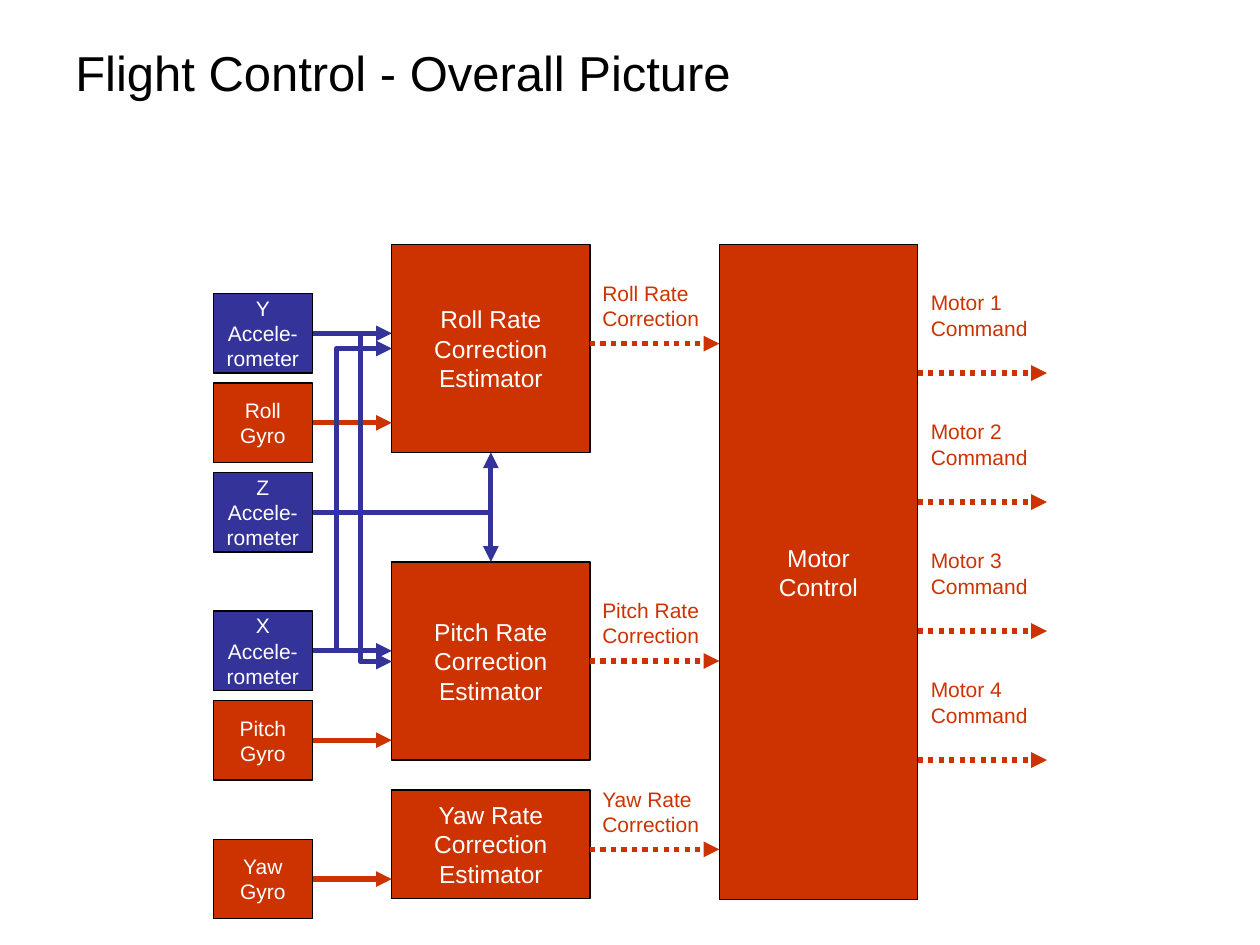
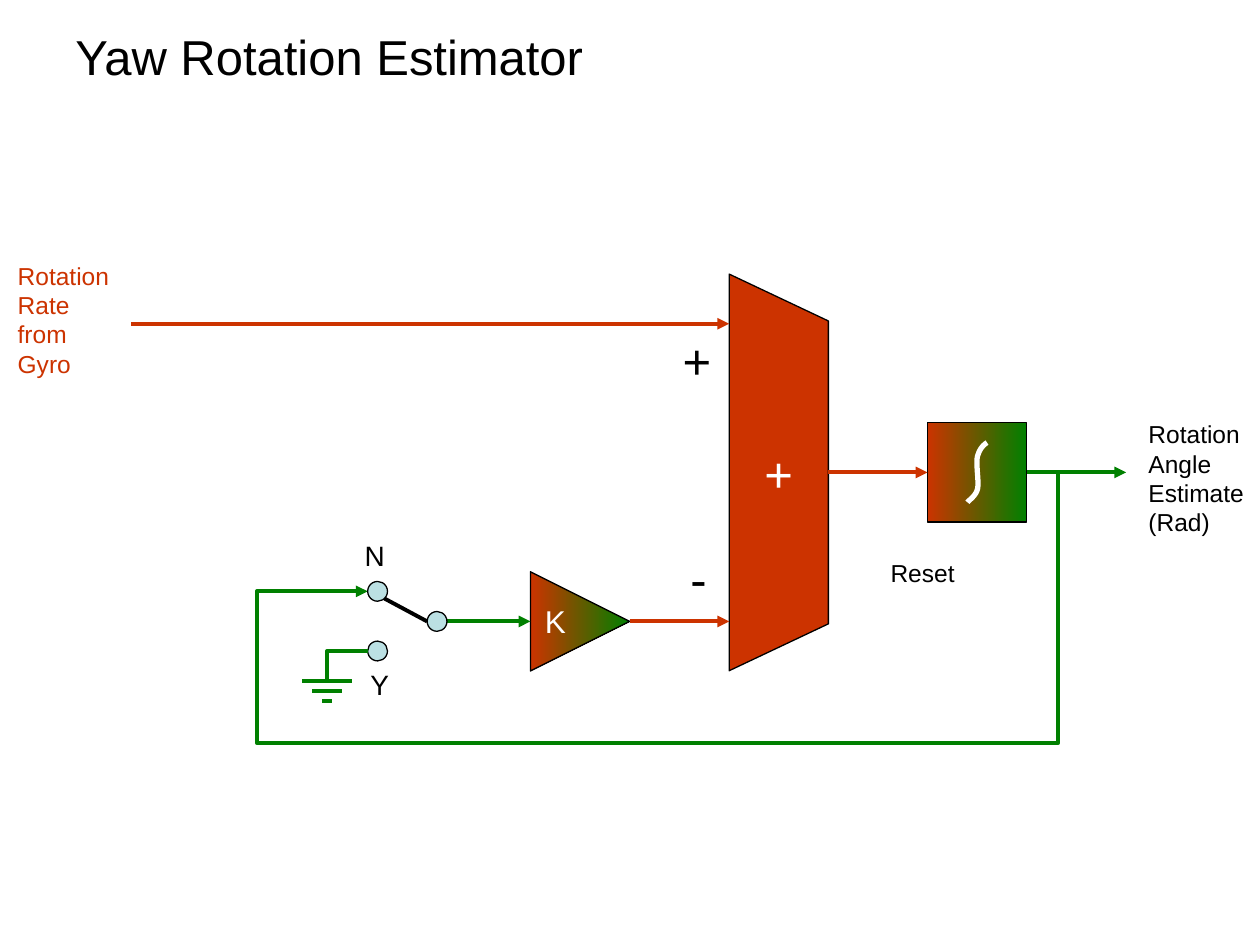
from typing import Any, NamedTuple, Optional

import pptx
import pptx.dml.color
import pptx.enum.dml
import pptx.enum.shapes
import pptx.enum.text
import pptx.oxml
import pptx.oxml.ns
import pptx.util
from lxml import etree

Pt = pptx.util.Pt
RGBColor = pptx.dml.color.RGBColor
PRESET = pptx.enum.shapes.MSO_SHAPE
ALIGN = pptx.enum.text.PP_ALIGN
ANCHOR = pptx.enum.text.MSO_ANCHOR
qn = pptx.oxml.ns.qn
Point = tuple[float, float]

FONT = "Arial"
RED = RGBColor(0xCC, 0x33, 0x00)
BLUE = RGBColor(0x33, 0x33, 0x99)
GREEN = RGBColor(0x00, 0x80, 0x00)
PALE = RGBColor(0xBB, 0xE0, 0xE3)
BLACK = RGBColor(0x00, 0x00, 0x00)
WHITE = RGBColor(0xFF, 0xFF, 0xFF)
OUTLINE = 0.75
LEFT, RIGHT = 1, 3


class Label(NamedTuple):
    text: str
    x: float
    y: float
    width: float
    height: float
    size: float
    color: RGBColor = BLACK


class Block(NamedTuple):
    text: str
    x: float
    y: float
    width: float
    height: float
    size: float
    color: RGBColor

    @property
    def middle(self) -> float:
        return self.y + self.height / 2


class Stroke(NamedTuple):
    color: RGBColor
    width: float
    dotted: bool = False
    arrow: bool = True


def write(frame: Any, text: str, size: float, color: RGBColor, align: Any) -> None:
    """Newlines in the text start paragraphs; vertical tabs break lines."""
    for index, paragraph_text in enumerate(text.split("\n")):
        para = frame.paragraphs[0] if index == 0 else frame.add_paragraph()
        para.alignment = align
        for number, line_text in enumerate(paragraph_text.split("\v")):
            if number:
                para.add_line_break()
            span = para.add_run()
            span.text = line_text
            span.font.name = FONT
            span.font.size = Pt(size)
            span.font.color.rgb = color


def add_label(page: Any, label: Label) -> None:
    box = page.shapes.add_textbox(Pt(label.x), Pt(label.y), Pt(label.width), Pt(label.height))
    box.text_frame.word_wrap = False
    box.text_frame.auto_size = pptx.enum.text.MSO_AUTO_SIZE.SHAPE_TO_FIT_TEXT
    write(box.text_frame, label.text, label.size, label.color, ALIGN.LEFT)


def add_title(page: Any, text: str, y: float, height: float) -> None:
    box = page.shapes.add_textbox(Pt(36), Pt(y), Pt(648), Pt(height))
    box.text_frame.word_wrap = True
    box.text_frame.vertical_anchor = ANCHOR.MIDDLE
    write(box.text_frame, text, 28, BLACK, ALIGN.LEFT)


def dress(shape: Any, color: Optional[RGBColor]) -> Any:
    """Black outline, and a solid fill or, without a colour, the red to green blend."""
    shape.shadow.inherit = False
    shape.line.color.rgb = BLACK
    shape.line.width = Pt(OUTLINE)
    if color is None:
        shape.fill.gradient()
        shape.fill.gradient_angle = shape.rotation
        for stop, stop_color in zip(shape.fill.gradient_stops, (RED, GREEN)):
            stop.color.rgb = stop_color
    else:
        shape.fill.solid()
        shape.fill.fore_color.rgb = color
    return shape


def add_preset(page: Any, preset: Any, x: float, y: float, width: float, height: float,
               color: Optional[RGBColor], rotation: float = 0) -> Any:
    shape = page.shapes.add_shape(preset, Pt(x), Pt(y), Pt(width), Pt(height))
    shape.rotation = rotation
    return dress(shape, color)


def caption(shape: Any, text: str, size: float) -> None:
    shape.text_frame.word_wrap = False
    shape.text_frame.vertical_anchor = ANCHOR.MIDDLE
    write(shape.text_frame, text, size, WHITE, ALIGN.CENTER)


def add_block(page: Any, block: Block) -> Any:
    shape = add_preset(page, PRESET.RECTANGLE, *block[1:5], block.color)
    caption(shape, block.text, block.size)
    return shape


def add_polyline(page: Any, points: list[Point], closed: bool) -> Any:
    corners = [(Pt(x), Pt(y)) for x, y in points]
    builder = page.shapes.build_freeform(*corners[0])
    builder.add_line_segments(corners[1:], close=closed)
    return builder.convert_to_shape()


def add_connector(page: Any, kind: Any, start: Point, end: Point, stroke: Stroke) -> Any:
    connector = page.shapes.add_connector(kind, *(Pt(value) for value in (*start, *end)))
    connector.line.color.rgb = stroke.color
    connector.line.width = Pt(stroke.width)
    if stroke.dotted:
        connector.line.dash_style = pptx.enum.dml.MSO_LINE.ROUND_DOT
    if stroke.arrow:
        etree.SubElement(connector.line._get_or_add_ln(), qn("a:tailEnd"), type="triangle")
    etree.SubElement(connector._element.spPr, qn("a:effectLst"))
    return connector


def add_straight(page: Any, start: Point, end: Point, stroke: Stroke,
                 source: Any = None, target: Any = None) -> None:
    """A source is joined at its right side, a target at its left side."""
    kind = pptx.enum.shapes.MSO_CONNECTOR.STRAIGHT
    connector = add_connector(page, kind, start, end, stroke)
    if source is not None:
        connector.begin_connect(source, RIGHT)
    if target is not None:
        connector.end_connect(target, LEFT)


def add_elbow(page: Any, start: Point, end: Point, stroke: Stroke, *bends: float) -> None:
    """Bends are the x, y, x ... at which the line turns; with none it turns once."""
    kind = pptx.enum.shapes.MSO_CONNECTOR.ELBOW
    connector = add_connector(page, kind, start, end, stroke)
    geometry = connector._element.spPr.find(qn("a:prstGeom"))
    geometry.set("prst", f"bentConnector{len(bends) + 2}")
    guides = geometry.find(qn("a:avLst"))
    for index, bend in enumerate(bends):
        axis = index % 2
        share = (bend - start[axis]) / (end[axis] - start[axis])
        etree.SubElement(guides, qn("a:gd"), name=f"adj{index + 1}",
                         fmla=f"val {round(share * 100000)}")


def bezier(a: Point, b: Point, c: Point, d: Point, steps: int = 10) -> list[Point]:
    shares = [step / steps for step in range(steps + 1)]
    return [tuple((1 - t) ** 3 * p + 3 * (1 - t) ** 2 * t * q + 3 * (1 - t) * t ** 2 * r + t ** 3 * s
                  for p, q, r, s in zip(a, b, c, d)) for t in shares]


def build_overall_picture(page: Any) -> None:
    sensor_x, sensor_width, sensor_height = 121.9, 56.7, 45.4
    estimator_x, block_width, top = 223.9, 113.2, 139.7
    motor_x, arrow_length = 411.1, 74
    sensor_right = sensor_x + sensor_width
    estimator_right = estimator_x + block_width
    motor_right = motor_x + block_width
    red, blue = Stroke(RED, 3), Stroke(BLUE, 3)
    dotted = Stroke(RED, 3, dotted=True)

    add_title(page, "Flight Control - Overall Picture", 21.6, 38.9)

    estimators = {
        name: Block(f"{name} Rate\nCorrection\nEstimator", estimator_x, y, block_width, height, 14, RED)
        for name, y, height in (("Roll", top, 118.8), ("Pitch", 321.1, 113.2), ("Yaw", 451.4, 62))
    }
    estimator_shapes = {name: add_block(page, block) for name, block in estimators.items()}
    add_block(page, Block("Motor\nControl", motor_x, top, block_width, 374.4, 14, RED))

    sensors = {}
    for name, y in (("Y", 167.8), ("Roll", 218.9), ("Z", 270),
                    ("X", 349.2), ("Pitch", 400.3), ("Yaw", 479.6)):
        is_gyro = name in estimators
        text = f"{name}\vGyro" if is_gyro else f"{name}\vAccele-\vrometer"
        sensor = Block(text, sensor_x, y, sensor_width, sensor_height, 12, RED if is_gyro else BLUE)
        shape = add_block(page, sensor)
        sensors[name] = sensor
        if name != "Z":
            add_straight(page, (sensor_right, sensor.middle), (estimator_x, sensor.middle),
                         red if is_gyro else blue, source=shape)

    roll, pitch = estimators["Roll"], estimators["Pitch"]
    center_x = estimator_x + block_width / 2
    for edge in (roll.y + roll.height, pitch.y):
        add_elbow(page, (sensor_right, sensors["Z"].middle), (center_x, edge), blue)
    add_elbow(page, (sensor_right, sensors["Y"].middle), (estimator_x, 378), blue, 206)
    add_elbow(page, (sensor_right, sensors["X"].middle), (estimator_x, 199.2), blue, 192.2)

    for name, y in (("Roll", 196.4), ("Pitch", pitch.middle), ("Yaw", 485.4)):
        add_label(page, Label(f"{name} Rate\nCorrection", estimator_right, y - 39.7, 69.8, 36, 12, RED))
        add_straight(page, (estimator_right, y), (motor_x, y), dotted,
                     source=estimator_shapes[name] if y == estimators[name].middle else None)

    for index in range(4):
        y = 213.2 + 73.7 * index
        add_label(page, Label(f"Motor {index + 1}\nCommand", motor_right + 0.5, y - 51, 69.8, 36, 12, RED))
        add_straight(page, (motor_right, y), (motor_right + arrow_length, y), dotted)


def build_yaw_estimator(page: Any) -> None:
    unit = 56.7
    sum_left, sum_right = 416.7, 473.4
    box_x, box_y = 530, 241.6
    box_right, box_middle = box_x + unit, box_y + unit / 2
    gain_x, gain_middle = 303.1, 355.1
    dot = 11.3
    pole_x, contact_x, contact_n, contact_y = 244.1, 210.1, 337.9, 372
    red, green = Stroke(RED, 2.25), Stroke(GREEN, 2.25)
    bare_green = Stroke(GREEN, 2.25, arrow=False)

    add_title(page, "Yaw Rotation Estimator", 3.6, 56.9)

    integrator = add_preset(page, PRESET.RECTANGLE, box_x, box_y, unit, unit, None)
    knots = [(564, 252.9), (558.6, 260.6), (558.6, 279.4), (552.8, 287)]
    handles = [((561.8, 254.4), (559.8, 256.5)), ((557.5, 265), (559.5, 275)),
               ((557.5, 283.5), (554, 285.5))]
    curve = [point for start, (first, second), end in zip(knots, handles, knots[1:])
             for point in bezier(start, first, second, end)]
    integral_sign = add_polyline(page, curve, closed=False)
    integral_sign.shadow.inherit = False
    integral_sign.fill.background()
    integral_sign.line.color.rgb = WHITE
    integral_sign.line.width = Pt(3)

    summing = dress(add_polyline(page, [(sum_left, 383.3), (sum_right, 356.5), (sum_right, 183.4),
                                        (sum_left, 156.6)], closed=True), RED)
    caption(summing, "+", 28)

    gain = add_preset(page, PRESET.ISOSCELES_TRIANGLE, gain_x, gain_middle - unit / 2, unit, unit,
                      None, rotation=90)
    caption(gain, "K", 18)
    gain.text_frame._txBody.bodyPr.set("vert", "vert270")

    add_straight(page, (pole_x + dot, gain_middle), (gain_x, gain_middle), green)
    add_straight(page, (gain_x + unit, gain_middle), (sum_left, gain_middle), red)
    add_straight(page, (74.9, 185), (sum_left, 185), red)
    add_straight(page, (sum_right, box_middle), (box_x, box_middle), red, target=integrator)
    add_straight(page, (box_right, box_middle), (643.5, box_middle), green, source=integrator)
    add_elbow(page, (box_right, box_middle), (contact_x, contact_n), green, 604.6, 424.6, 147)

    for x, middle in ((pole_x, gain_middle), (contact_x, contact_n), (contact_x, contact_y)):
        add_preset(page, PRESET.OVAL, x, middle - dot / 2, dot, dot, PALE)
    add_straight(page, (219.7, 342), (pole_x, gain_middle), Stroke(BLACK, 2.25, arrow=False))

    ground_x, ground_y = 187, 389
    add_elbow(page, (contact_x, contact_y), (ground_x, ground_y), bare_green)
    for index in range(3):
        half, y = 14.2 - 5.7 * index, ground_y + 5.7 * index
        add_straight(page, (ground_x - half, y), (ground_x + half, y), bare_green)

    for label in (
        Label("+", 383, 185.3, 30.2, 41, 28),
        Label("-", 387.4, 310, 23.8, 41, 28),
        Label("Rotation\vRate\nfrom\vGyro", 3, 145.4, 70, 74.9, 14, RED),
        Label("Rotation\nAngle\nEstimate\n(Rad)", 649.2, 236, 69.1, 74.9, 14),
        Label("Reset", 501.8, 315.4, 51.1, 24.5, 14),
        Label("Y", 204.5, 378, 25.2, 26.6, 16),
        Label("N", 201.3, 304, 25.9, 26.6, 16),
    ):
        add_label(page, label)


def main() -> None:
    deck = pptx.Presentation()
    deck.slide_width, deck.slide_height = Pt(720), Pt(540)
    blank = deck.slide_layouts[6]
    for build in (build_overall_picture, build_yaw_estimator):
        build(deck.slides.add_slide(blank))
    deck.save("out.pptx")


if __name__ == "__main__":
    main()
